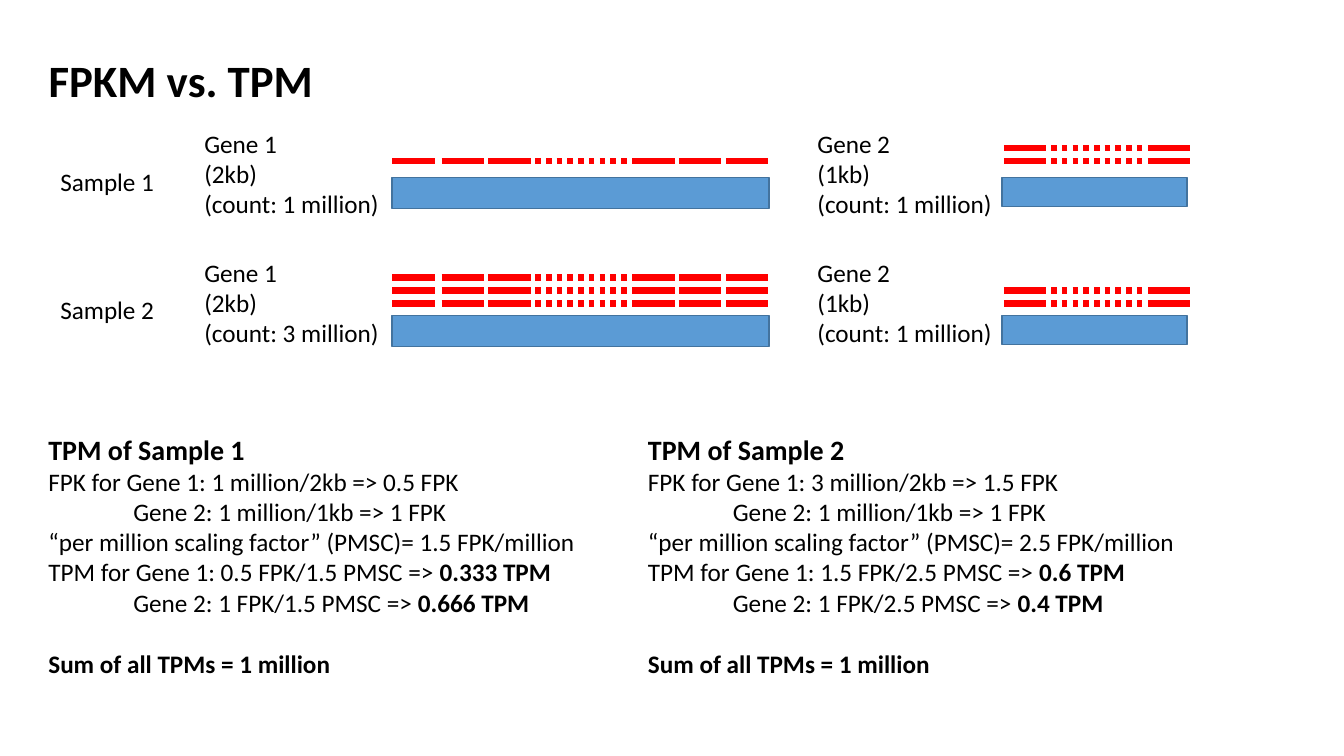
import pptx
import pptx.util
import pptx.dml.color
import pptx.enum.shapes
import pptx.enum.text
import pptx.oxml.ns
import lxml.etree

Cm, Pt = pptx.util.Cm, pptx.util.Pt
COLORS = {"text": "000000", "gene": "5B9BD5", "edge": "43739E", "read": "FF0000"}
FONT = "Calibri"
BODY = {"size": Pt(18), "bold": False}
BOLD = {"size": Pt(18), "bold": True}
HEADING = {"size": Pt(20), "bold": True}
TITLE = {"size": Pt(32), "bold": True}
INDENT = 2.14
BLANK_LINE = Pt(22)

# Read pattern in cm, measured from the first dot
DASHES_LEFT, DASHES_RIGHT = (-1.19, -2.36, -3.61), (2.44, 3.62, 4.8)
DASH, DOT = 1.07, 0.14
DOT_COUNT, DOT_STEP, READ_STEP = 9, 0.27, 0.33

GENES = [
    {"name": "Gene 1", "length": "2kb", "label_x": 4.9, "bar": (9.88, 9.5, 0.79),
     "dots_x": 13.49, "dashes": 3},
    {"name": "Gene 2", "length": "1kb", "label_x": 20.35, "bar": (25.25, 4.67, 0.74),
     "dots_x": 26.49, "dashes": 1},
]
SAMPLES = [
    {"name": "Sample 1", "name_y": 4.06, "label_y": 3.1, "bar_y": 4.47, "read_y": 4.06,
     "counts": (1, 1), "reads": (1, 2), "calc_x": 0.97, "fpk": "0.5", "pmsc": "1.5",
     "tpm": ("0.333", "0.666")},
    {"name": "Sample 2", "name_y": 7.29, "label_y": 6.35, "bar_y": 7.95, "read_y": 7.65,
     "counts": (3, 1), "reads": (3, 2), "calc_x": 16.08, "fpk": "1.5", "pmsc": "2.5",
     "tpm": ("0.6", "0.4")},
]


def rgb(name):
    """Return the named colour."""
    return pptx.dml.color.RGBColor.from_string(COLORS[name])


def para(*runs, indent=0, before=0):
    """Describe a paragraph of (text, font format) runs."""
    return {"runs": runs, "indent": indent, "before": before}


class Deck:
    """Holds the presentation, its style and the current slide."""

    def __init__(self):
        """Start a wide presentation with one title-only slide."""
        self.prs = pptx.Presentation()
        self.prs.slide_width, self.prs.slide_height = Cm(33.87), Cm(19.05)
        self.s = self.prs.slides.add_slide(self.prs.slide_layouts[5])
        self.shapes = self.s.shapes

    def group(self):
        """Put the following elements in a new group."""
        self.shapes = self.s.shapes.add_group_shape().shapes

    def ungroup(self):
        """Put the following elements straight on the slide."""
        self.shapes = self.s.shapes

    def fill_text(self, tf, paras):
        """Fill a text frame with paragraphs."""
        frame = {"word_wrap": False, "vertical_anchor": pptx.enum.text.MSO_ANCHOR.TOP,
                 "auto_size": pptx.enum.text.MSO_AUTO_SIZE.SHAPE_TO_FIT_TEXT}
        for key, value in frame.items():
            setattr(tf, key, value)
        for i, item in enumerate(paras):
            p = tf.add_paragraph() if i else tf.paragraphs[0]
            p.alignment = pptx.enum.text.PP_ALIGN.LEFT
            if item["before"]:
                p.space_before = item["before"]
            if item["indent"]:
                p._p.get_or_add_pPr().set("marL", str(int(Cm(item["indent"]))))
            for text, style in item["runs"]:
                r = p.add_run()
                r.text = text
                for key, value in {"name": FONT, **style}.items():
                    setattr(r.font, key, value)
                r.font.color.rgb = rgb("text")

    def title(self, x, y, w, h, text):
        """Move and fill the title placeholder."""
        sp = self.s.shapes.title
        for key, value in zip(("left", "top", "width", "height"), (x, y, w, h)):
            setattr(sp, key, Cm(value))
        self.fill_text(sp.text_frame, [para((text, TITLE))])

    def text(self, x, y, w, h, paras):
        """Add a text box."""
        sp = self.shapes.add_textbox(Cm(x), Cm(y), Cm(w), Cm(h))
        self.fill_text(sp.text_frame, paras)

    def bar(self, x, y, w, h):
        """Add a gene bar."""
        sp = self.shapes.add_shape(pptx.enum.shapes.MSO_SHAPE.RECTANGLE,
                                   Cm(x), Cm(y), Cm(w), Cm(h))
        sp.shadow.inherit = False
        sp.fill.solid()
        sp.fill.fore_color.rgb = rgb("gene")
        sp.line.color.rgb = rgb("edge")
        sp.line.width = Pt(1)

    def stroke(self, x, y, w):
        """Add one thick horizontal stroke of a read."""
        cxn = self.shapes.add_connector(pptx.enum.shapes.MSO_CONNECTOR.STRAIGHT,
                                        Cm(x), Cm(y), Cm(x + w), Cm(y))
        cxn.line.color.rgb = rgb("read")
        cxn.line.width = Pt(4.5)
        lxml.etree.SubElement(cxn._element.spPr, pptx.oxml.ns.qn("a:effectLst"))

    def read_row(self, x, y, dashes):
        """Add a row of reads: dots between dashes on both sides."""
        for dx in DASHES_LEFT[:dashes] + DASHES_RIGHT[:dashes]:
            self.stroke(x + dx, y, DASH)
        for i in range(DOT_COUNT):
            self.stroke(x + i * DOT_STEP, y, DOT)


def draw_sample(deck, sample):
    """Draw a sample's name with its genes and reads."""
    deck.group()
    deck.text(1.27, sample["name_y"], 2.9, 1.02, [para((sample["name"], BODY))])
    for gene, count, reads in zip(GENES, sample["counts"], sample["reads"]):
        x, w, h = gene["bar"]
        deck.bar(x, sample["bar_y"], w, h)
        lines = (gene["name"], f"({gene['length']})", f"(count: {count} million)")
        deck.text(gene["label_x"], sample["label_y"], 4.95, 2.57,
                  [para((line, BODY)) for line in lines])
        for i in range(reads):
            deck.read_row(gene["dots_x"], sample["read_y"] - i * READ_STEP, gene["dashes"])
    deck.ungroup()


def draw_calculation(deck, sample):
    """Add the TPM calculation of a sample."""
    fpk, pmsc = sample["fpk"], sample["pmsc"]
    count1, count2 = sample["counts"]
    tpm1, tpm2 = sample["tpm"]
    deck.text(sample["calc_x"], 10.77, 13.97, 8.03, [
        para((f"TPM of {sample['name']}", HEADING)),
        para((f"FPK for Gene 1: {count1} million/2kb => {fpk} FPK", BODY)),
        para((f"Gene 2: {count2} million/1kb => 1 FPK", BODY), indent=INDENT),
        para((f"“per million scaling factor” (PMSC)= {pmsc} FPK/million", BODY)),
        para((f"TPM for Gene 1: {fpk} FPK/{pmsc} PMSC => ", BODY), (f"{tpm1} TPM", BOLD)),
        para((f"Gene 2: 1 FPK/{pmsc} PMSC => ", BODY), (f"{tpm2} TPM", BOLD), indent=INDENT),
        para(("Sum of all TPMs = 1 million", BOLD), before=BLANK_LINE),
    ])


deck = Deck()
deck.title(0.97, 1.19, 7.24, 1.63, "FPKM vs. TPM")
for sample in SAMPLES:
    draw_calculation(deck, sample)
for sample in SAMPLES:
    draw_sample(deck, sample)
deck.prs.save("out.pptx")
